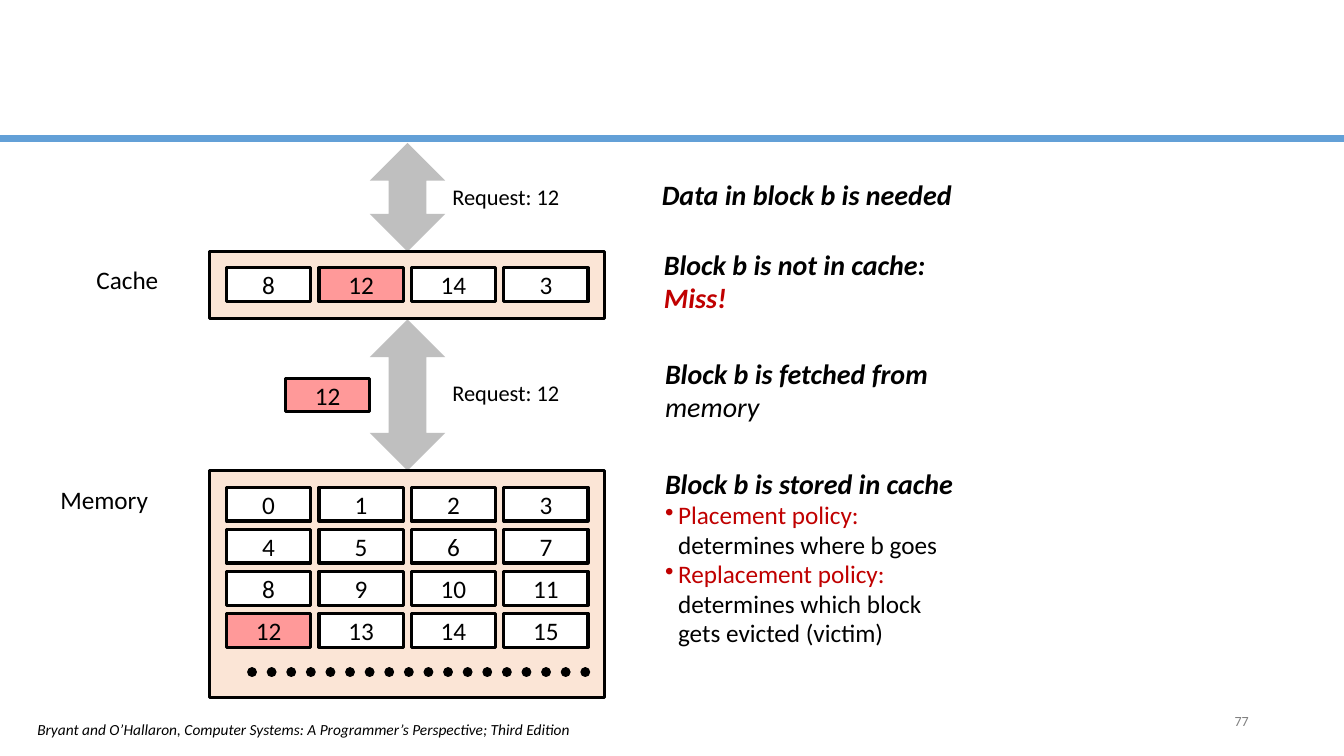
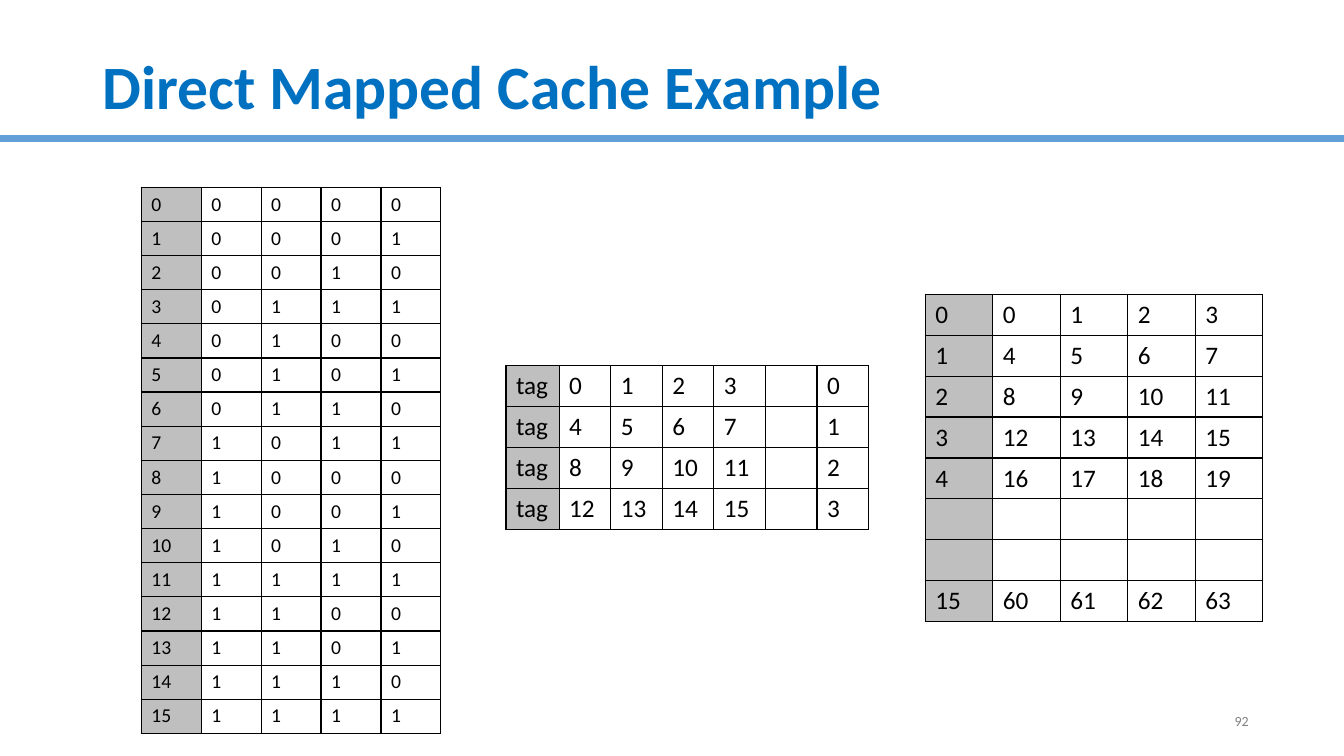
import pptx
import pptx.dml.color
import pptx.enum.dml
import pptx.enum.shapes
import pptx.enum.text
import pptx.oxml.ns
import pptx.util
from lxml import etree

Cm, Pt = pptx.util.Cm, pptx.util.Pt
qn = pptx.oxml.ns.qn
ALIGN = pptx.enum.text.PP_ALIGN
ANCHOR = pptx.enum.text.MSO_ANCHOR
SHAPE = pptx.enum.shapes.MSO_SHAPE

FONT = "Calibri"
BLACK, WHITE, GREY, DIM = "000000", "FFFFFF", "BFBFBF", "808080"
RULE, TITLE, RED = "63A0D7", "0070C0", "C00000"
PEACH, PINK = "FBE5D6", "FF9999"
PAGE_WIDTH, PAGE_HEIGHT = 33.87, 19.05

BLOCK_WIDTH, BLOCK_HEIGHT = 2.12, 0.85
BLOCK_STEP_X, BLOCK_STEP_Y = 2.33, 1.06
STORE_LEFT, STORE_WIDTH, STORE_INSET = 5.29, 9.95, 0.42
HEADING = dict(size=20, bold=True, italic=True)
POLICY = dict(size=18, bold=False, italic=False)


def colour(code):
    return pptx.dml.color.RGBColor.from_string(code)


def place(box):
    return [Cm(length) for length in box]


def write(frame, paragraphs, align=ALIGN.LEFT, anchor=ANCHOR.TOP, spacing=None, margins=None,
          **style):
    """Fill a frame; a paragraph is a string or a dict of spans, bullet flag and format."""
    frame.word_wrap = True
    frame.auto_size = pptx.enum.text.MSO_AUTO_SIZE.NONE
    frame.vertical_anchor = anchor
    if margins is not None:
        frame.margin_left = frame.margin_right = Cm(margins)
        frame.margin_top = frame.margin_bottom = Cm(margins)
    for index, entry in enumerate(paragraphs):
        para = frame.paragraphs[0] if index == 0 else frame.add_paragraph()
        if isinstance(entry, str):
            entry = dict(spans=[(entry, {})])
        if entry.get("bullet"):
            add_bullet(para)
        para.alignment = align
        if spacing:
            para.line_spacing = spacing
        add_spans(para, entry["spans"], {**style, **entry.get("style", {})})


def add_bullet(para):
    properties = para._p.get_or_add_pPr()
    properties.set("marL", str(Cm(0.33)))
    properties.set("indent", str(-Cm(0.33)))
    etree.SubElement(properties, qn("a:buChar")).set("char", "•")


def add_spans(para, spans, style):
    """Add (text, format) spans, each new line of a text as a line break."""
    for text, changes in spans:
        for index, line in enumerate(text.split("\n")):
            if index:
                para.add_line_break()
            if line:
                span = para.add_run()
                span.text = line
                format_font(span.font, **{**style, **changes})


def format_font(font, size=18, color=BLACK, bold=False, italic=False):
    font.name = FONT
    font.size = Pt(size)
    font.bold = bold
    font.italic = italic
    font.color.rgb = colour(color)


def add_text(page, box, paragraphs, **style):
    write(page.shapes.add_textbox(*place(box)).text_frame, paragraphs, **style)


def add_figure(page, kind, box, fill, outline=None):
    figure = page.shapes.add_shape(kind, *place(box))
    figure.shadow.inherit = False
    figure.fill.solid()
    figure.fill.fore_color.rgb = colour(fill)
    if outline:
        figure.line.color.rgb = colour(outline)
        figure.line.width = Pt(2.25)
    else:
        figure.line.fill.background()
    return figure


def add_line(page, start, end, color, width):
    line = page.shapes.add_connector(
        pptx.enum.shapes.MSO_CONNECTOR.STRAIGHT, *place(start + end))
    line.line.color.rgb = colour(color)
    line.line.width = Pt(width)
    etree.SubElement(line._element.spPr, qn("a:effectLst"))
    return line


def add_page(deck, number, title=None):
    """Add a slide with the rule and page number, and a title when there is one."""
    page = deck.slides.add_slide(deck.slide_layouts[5 if title else 6])
    add_line(page, (0, 3.5), (PAGE_WIDTH, 3.5), RULE, 5)
    if title:
        heading = page.shapes.title
        heading.left, heading.top, heading.width, heading.height = place((2.33, 1.02, 29.21, 2.49))
        write(heading.text_frame, [title], anchor=ANCHOR.MIDDLE, spacing=0.9,
              size=44, color=TITLE, bold=True)
    add_text(page, (24.1, 17.65, 7.62, 1.02), [str(number)], align=ALIGN.RIGHT,
             anchor=ANCHOR.MIDDLE, size=10, color=DIM)
    return page


def add_block(page, left, top, value, wanted):
    block = add_figure(page, SHAPE.RECTANGLE, (left, top, BLOCK_WIDTH, BLOCK_HEIGHT),
                       PINK if value == wanted else WHITE, BLACK)
    write(block.text_frame, [str(value)], align=ALIGN.CENTER, anchor=ANCHOR.MIDDLE, margins=0)


def add_store(page, top, height, values, wanted):
    """Draw a frame with its blocks in rows of four."""
    add_figure(page, SHAPE.RECTANGLE, (STORE_LEFT, top, STORE_WIDTH, height), PEACH, BLACK)
    for index, value in enumerate(values):
        row, column = divmod(index, 4)
        add_block(page, STORE_LEFT + STORE_INSET + column * BLOCK_STEP_X,
                  top + STORE_INSET + row * BLOCK_STEP_Y, value, wanted)


def add_continuation(page, top):
    dots = add_line(page, (STORE_LEFT + 1.06, top), (STORE_LEFT + 9.53, top), BLACK, 7)
    dots.line.dash_style = pptx.enum.dml.MSO_LINE.ROUND_DOT
    dots._element.spPr.find(qn("a:ln")).set("cap", "rnd")


def add_request(page, top, height, label_top, wanted):
    add_figure(page, SHAPE.UP_DOWN_ARROW, (9.32, top, 1.9, height), GREY)
    add_text(page, (11.1, label_top, 3.3, 0.94), [f"Request: {wanted}"],
             align=ALIGN.CENTER, size=16)


def add_explanations(page):
    steps = [
        (16.43, 4.39, 1.09, ["Data in block b is needed"]),
        (16.48, 6.15, 1.93, ["Block b is not in cache:",
                             dict(spans=[("Miss!", {})], style=dict(color=RED))]),
        (16.51, 8.89, 1.93, ["Block b is fetched from",
                             dict(spans=[("memory", {})], style=dict(bold=False))]),
        (16.51, 11.63, 4.88, [
            "Block b is stored in cache",
            dict(spans=[("Placement policy:\n", dict(color=RED)),
                        ("determines where b goes", {})], bullet=True, style=POLICY),
            dict(spans=[("Replacement policy:\n", dict(color=RED)),
                        ("determines which block\ngets evicted (victim)", {})],
                 bullet=True, style=POLICY)]),
    ]
    for left, top, height, paragraphs in steps:
        add_text(page, (left, top, 8.5, height), paragraphs,
                 anchor=ANCHOR.MIDDLE, spacing=0.98, **HEADING)


def add_miss_page(deck):
    page = add_page(deck, 77)
    wanted = 12
    cache_top, memory_top = 6.33, 11.86
    add_request(page, 3.6, 2.74, 4.5, wanted)
    add_request(page, 8.05, 3.81, 9.42, wanted)
    add_store(page, cache_top, 1.7, [8, 12, 14, 3], wanted)
    add_store(page, memory_top, 5.71, range(16), wanted)
    add_continuation(page, memory_top + 5.08)
    add_block(page, 7.2, 9.53, wanted, wanted)
    add_text(page, (2.18, 6.53, 2.64, 1.27), ["Cache"])
    add_text(page, (1.27, 12.07, 3.56, 1.27), ["Memory"])
    add_explanations(page)
    add_text(page, (0.69, 18.03, 29.21, 0.74),
             ["Bryant and O’Hallaron, Computer Systems: A Programmer’s Perspective; Third Edition"],
             size=11, italic=True)


def add_borders(cell):
    properties = cell._tc.get_or_add_tcPr()
    for side in ("a:lnL", "a:lnR", "a:lnT", "a:lnB"):
        border = etree.SubElement(properties, qn(side))
        border.set("w", str(Pt(1)))
        fill = etree.SubElement(border, qn("a:solidFill"))
        etree.SubElement(fill, qn("a:srgbClr")).set("val", BLACK)


def add_grid(page, left, top, widths, row_height, rows, size):
    """Draw a bordered table whose first column is grey."""
    table = page.shapes.add_table(
        len(rows), len(widths),
        *place((left, top, sum(widths), row_height * len(rows)))).table
    table.first_row = table.horz_banding = False
    for column, width in zip(table.columns, widths):
        column.width = Cm(width)
    for row, values in zip(table.rows, rows):
        row.height = Cm(row_height)
        for index, (cell, value) in enumerate(zip(row.cells, values)):
            add_borders(cell)
            cell.fill.solid()
            cell.fill.fore_color.rgb = colour(WHITE if index else GREY)
            add_spans(cell.text_frame.paragraphs[0], [(str(value), {})], dict(size=size))


def add_mapping_page(deck):
    page = add_page(deck, 92, "Direct Mapped Cache Example")
    addresses = ("0000 0001 0010 0111 0100 0101 0110 1011 "
                 "1000 1001 1010 1111 1100 1101 1110 1111").split()
    address_rows = [[index, *bits] for index, bits in enumerate(addresses)]

    def four_from(row):
        return list(range(4 * row, 4 * row + 4))

    cache_rows = [["tag", *four_from(row), "", row] for row in range(4)]
    memory_rows = [[row, *four_from(row)] for row in range(5)]
    memory_rows += [[""] * 5] * 2 + [[15, *four_from(15)]]

    add_grid(page, 3.56, 4.72, [1.51] * 5, 0.86, address_rows, 14)
    add_grid(page, 23.32, 7.42, [1.7] * 5, 1.03, memory_rows, 18)
    add_grid(page, 12.75, 9.22, [1.34] + [1.3] * 6, 1.03, cache_rows, 18)


def main():
    deck = pptx.Presentation()
    deck.slide_width, deck.slide_height = Cm(PAGE_WIDTH), Cm(PAGE_HEIGHT)
    add_miss_page(deck)
    add_mapping_page(deck)
    deck.save("out.pptx")


if __name__ == "__main__":
    main()
